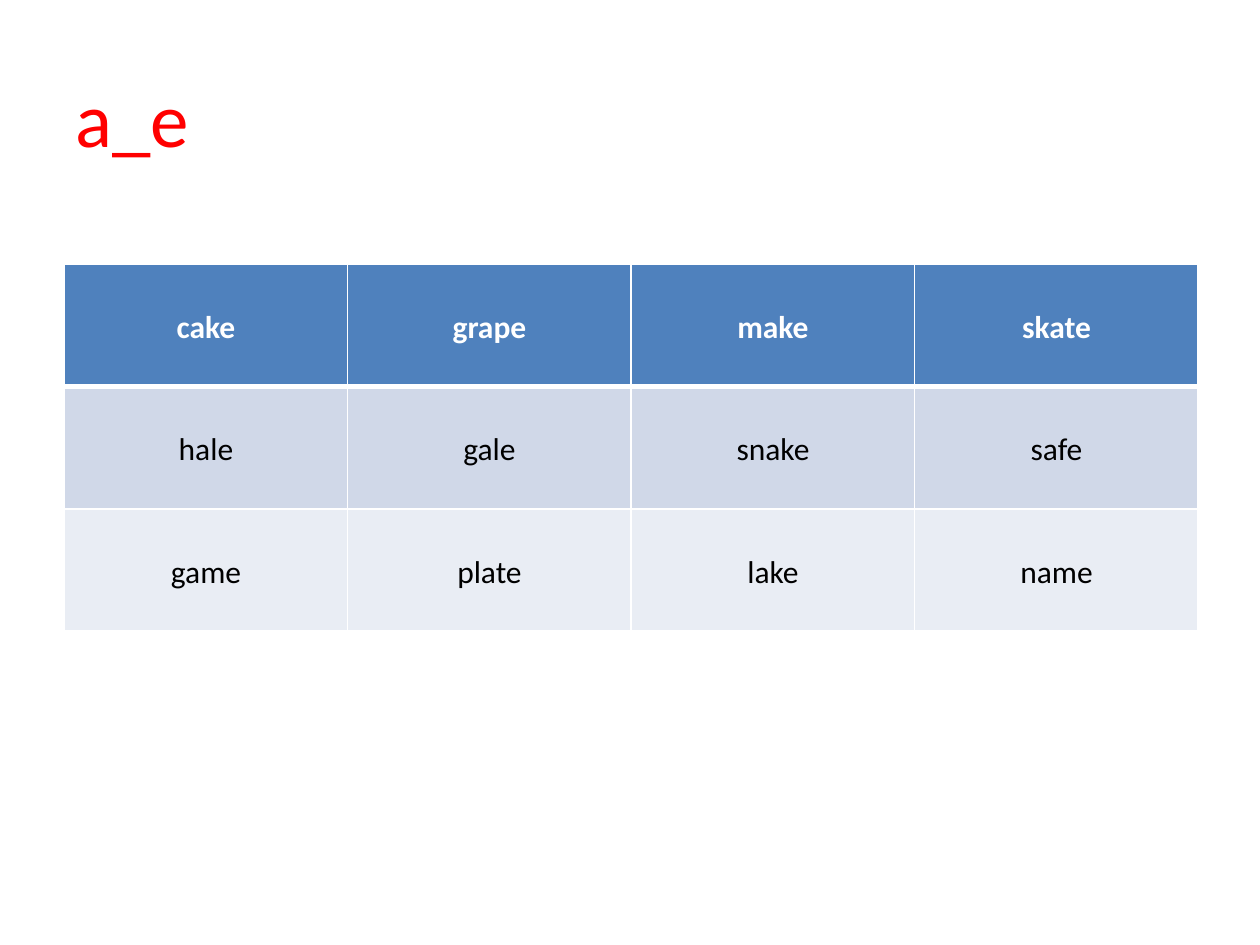
from dataclasses import dataclass

from pptx import Presentation, util as u
from pptx.dml.color import RGBColor
from pptx.enum import text
from pptx.oxml import ns, xmlchemy


@dataclass(frozen=True)
class Theme:
    font: str = "Calibri"
    title_size: int = 44
    word_size: int = 18
    title: str = "FF0000"
    header_text: str = "FFFFFF"
    body_text: str = "000000"
    border: str = "FFFFFF"
    header_fill: str = "4F81BD"
    band_fills: tuple[str, str] = ("D0D8E8", "E9EDF4")


@dataclass(frozen=True)
class Grid:
    left: float
    top: float
    column_width: float
    row_height: float
    words: tuple[tuple[str, ...], ...]


THEME = Theme()
WORD_GRID = Grid(0.51, 2.1, 2.25, 0.97, (
    ("cake", "grape", "make", "skate"),
    ("hale", "gale", "snake", "safe"),
    ("game", "plate", "lake", "name"),
))


def style_font(font, size: int, color: str, bold: bool = False) -> None:
    font.name = THEME.font
    font.size = u.Pt(size)
    font.bold = bold
    font.color.rgb = RGBColor.from_string(color)


def add_borders(cell, widths: dict[str, int]) -> None:
    properties = cell._tc.get_or_add_tcPr()
    for index, (side, points) in enumerate(widths.items()):
        line = xmlchemy.OxmlElement(f"a:ln{side}")
        line.set("w", str(u.Pt(points)))
        fill = xmlchemy.OxmlElement("a:solidFill")
        color = xmlchemy.OxmlElement("a:srgbClr")
        color.set("val", THEME.border)
        fill.append(color)
        line.append(fill)
        properties.insert(index, line)


def draw_title(page, words: str) -> None:
    title = page.shapes.title
    title.left, title.top = u.Inches(0.5), u.Inches(0.3)
    title.width, title.height = u.Inches(9), u.Inches(1.25)
    frame = title.text_frame
    frame.text = words
    frame.vertical_anchor = text.MSO_ANCHOR.MIDDLE
    para = frame.paragraphs[0]
    para.alignment = text.PP_ALIGN.LEFT
    style_font(para.runs[0].font, THEME.title_size, THEME.title)


def draw_cell(cell, word: str, row: int) -> None:
    header = row == 0
    fill = THEME.header_fill if header else THEME.band_fills[(row - 1) % 2]
    color = THEME.header_text if header else THEME.body_text
    cell.fill.solid()
    cell.fill.fore_color.rgb = RGBColor.from_string(fill)
    add_borders(cell, {"L": 1, "R": 1, "T": 3 if row == 1 else 1, "B": 3 if header else 1})
    cell.margin_top = u.Inches(0.35)
    cell.vertical_anchor = text.MSO_ANCHOR.TOP
    cell.text_frame.text = word
    para = cell.text_frame.paragraphs[0]
    para.alignment = text.PP_ALIGN.CENTER
    style_font(para.runs[0].font, THEME.word_size, color, header)


def draw_grid(page, grid: Grid) -> None:
    rows, columns = len(grid.words), len(grid.words[0])
    table = page.shapes.add_table(
        rows, columns, u.Inches(grid.left), u.Inches(grid.top),
        u.Inches(columns * grid.column_width), u.Inches(rows * grid.row_height),
    ).table
    for row, words in enumerate(grid.words):
        for column, word in enumerate(words):
            draw_cell(table.cell(row, column), word, row)


def main() -> None:
    deck = Presentation()
    deck.slide_width, deck.slide_height = u.Inches(10), u.Inches(7.5)
    page = deck.slides.add_slide(deck.slide_layouts.get_by_name("Title Only"))
    draw_title(page, "a_e")
    draw_grid(page, WORD_GRID)
    deck.save("out.pptx")


if __name__ == "__main__":
    main()
